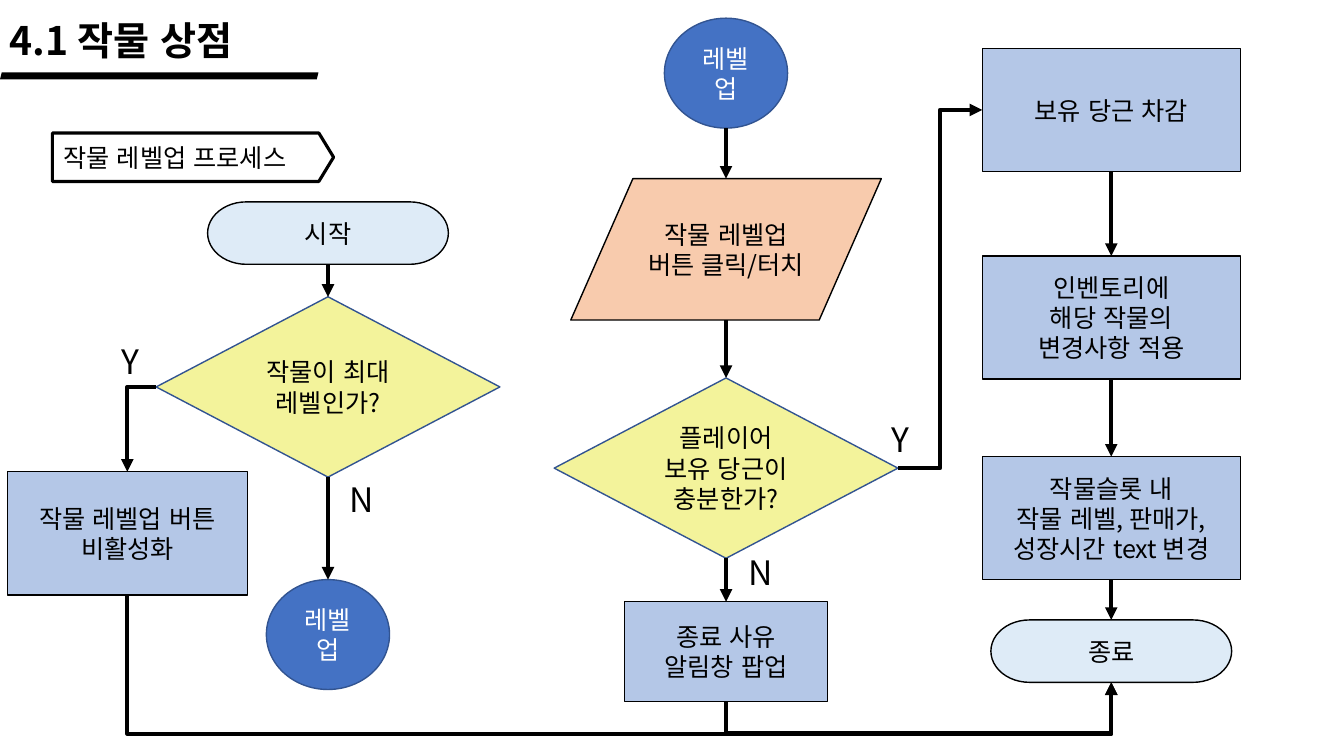
from pptx import Presentation
from pptx.dml.color import RGBColor
from pptx.enum import lang, shapes, text
from pptx.oxml import parse_xml
from pptx.oxml.ns import nsdecls, qn
from pptx.util import Pt

SHAPE = shapes.MSO_SHAPE
ALIGN = text.PP_ALIGN

THEME = {
    "font": "Noto Sans CJK KR",
    "title": 28, "label": 24, "body": 18,
    "black": "000000", "white": "FFFFFF", "edge": "325491",
    "thin": 1, "frame": 2.25, "arrow": 3,
}

# kind: preset, fill, line, text colour
KINDS = {
    "terminal": (SHAPE.FLOWCHART_TERMINATOR, "DEEBF7", "black", "black"),
    "decision": (SHAPE.FLOWCHART_DECISION, "F3F39B", "edge", "black"),
    "process": (SHAPE.RECTANGLE, "B4C7E7", "black", "black"),
    "input": (SHAPE.FLOWCHART_DATA, "F8CBAD", "black", "black"),
    "link": (SHAPE.FLOWCHART_CONNECTOR, "4472C4", "edge", "white"),
}

DISABLED, LEFT, MIDDLE, RIGHT = 91, 234.3, 518.6, 793.8

# name: kind, centre x, top, width, height, text
NODES = {
    "start": ("terminal", LEFT, 144.2, 172, 44.6, "시작"),
    "is_max": ("decision", LEFT, 212, 245.5, 128.8, "작물이 최대 레벨인가?"),
    "disable": ("process", DISABLED, 337, 171.4, 88, "작물 레벨업 버튼 비활성화"),
    "to_level_up": ("link", LEFT, 414, 88, 78.5, "레벨업"),
    "level_up": ("link", MIDDLE, 13, 88, 78.5, "레벨업"),
    "click": ("input", MIDDLE, 127.6, 221.8, 101, "작물 레벨업 버튼 클릭/터치"),
    "has_enough": ("decision", MIDDLE, 270, 245.5, 128.8,
                   "플레이어\n보유 당근이\n충분한가?"),
    "popup": ("process", MIDDLE, 429.8, 145, 71.4, "종료 사유\n알림창 팝업"),
    "deduct": ("process", RIGHT, 34.6, 184.4, 88, "보유 당근 차감"),
    "inventory": ("process", RIGHT, 182.9, 184.4, 88,
                  "인벤토리에\n해당 작물의\n변경사항 적용"),
    "slot": ("process", RIGHT, 326.2, 184.4, 88,
             "작물슬롯 내\n작물 레벨, 판매가, 성장시간 text 변경"),
    "end": ("terminal", RIGHT, 442.8, 172, 44.6, "종료"),
}

DOWNWARD = [
    ("start", "is_max"), ("is_max", "to_level_up"),
    ("level_up", "click"), ("click", "has_enough"), ("has_enough", "popup"),
    ("deduct", "inventory"), ("inventory", "slot"), ("slot", "end"),
]
ENDING_FROM = ["disable", "popup"]
ENDING_LEVEL = 524

BRANCH_LABELS = [  # text, left, top, width
    ("Y", 79.9, 239.8, 28), ("N", 242.6, 338.4, 33),
    ("Y", 630, 295.9, 28), ("N", 527.8, 391, 33),
]


def color(name):
    return RGBColor.from_string(THEME.get(name, name))


def write(shape, words, size, ink="black", align=ALIGN.CENTER, bold=False):
    frame = shape.text_frame
    frame.text = words
    for para in frame.paragraphs:
        para.alignment = align
        for span in para.runs:
            font = span.font
            font.size, font.bold = Pt(THEME[size]), bold
            font.name = THEME["font"]
            font.language_id = lang.MSO_LANGUAGE_ID.KOREAN
            font.color.rgb = color(ink)
            latin = span._r.rPr.find(qn("a:latin"))
            latin.addnext(parse_xml(
                f'<a:ea {nsdecls("a")} typeface="{THEME["font"]}"/>'))
    return frame


def add_box(page, preset, box, fill, line=None, weight="thin"):
    shape = page.shapes.add_shape(preset, *map(Pt, box))
    shape.shadow.inherit = False
    shape.fill.solid()
    shape.fill.fore_color.rgb = color(fill)
    if line:
        shape.line.color.rgb = color(line)
        shape.line.width = Pt(THEME[weight])
    else:
        shape.line.fill.background()
    return shape


def add_label(page, words, box, size, bold=False):
    label = page.shapes.add_textbox(*map(Pt, box))
    frame = write(label, words, size, align=ALIGN.LEFT, bold=bold)
    frame.word_wrap = False


def add_node(page, name):
    kind, centre, top, width, height, words = NODES[name]
    preset, fill, line, ink = KINDS[kind]
    shape = add_box(page, preset, (centre - width / 2, top, width, height), fill, line)
    frame = write(shape, words, "body", ink)
    frame.word_wrap = True
    frame.vertical_anchor = text.MSO_ANCHOR.MIDDLE


def side(name, where):
    """Middle point of one side of a node."""
    _, centre, top, width, height, _ = NODES[name]
    return {
        "top": (centre, top), "bottom": (centre, top + height),
        "left": (centre - width / 2, top + height / 2),
        "right": (centre + width / 2, top + height / 2),
    }[where]


def add_arrow(page, start, end, kind=shapes.MSO_CONNECTOR.STRAIGHT):
    arrow = page.shapes.add_connector(kind, *map(Pt, start + end))
    arrow.line.color.rgb = color("black")
    arrow.line.width = Pt(THEME["arrow"])
    arrow.line._get_or_add_ln().append(
        parse_xml(f'<a:tailEnd {nsdecls("a")} type="triangle"/>'))
    arrow._element.spPr.append(parse_xml(f'<a:effectLst {nsdecls("a")}/>'))
    return arrow


def add_corner_arrow(page, start, end):
    """Arrow that runs sideways, then turns once."""
    arrow = add_arrow(page, start, end, shapes.MSO_CONNECTOR.ELBOW)
    arrow._element.spPr.find(qn("a:prstGeom")).set("prst", "bentConnector2")


def add_detour_arrow(page, start, end, level):
    """Arrow that drops to a level, runs sideways and rises to its end."""
    middle_x, middle_y = (start[0] + end[0]) / 2, (start[1] + end[1]) / 2
    # The elbow preset runs sideways first, so it is laid out a quarter turn back.
    turned = [(middle_x + y - middle_y, middle_y - x + middle_x) for x, y in (start, end)]
    arrow = add_arrow(page, *turned, shapes.MSO_CONNECTOR.ELBOW)
    properties = arrow._element.spPr
    properties.find(qn("a:xfrm")).set("rot", str(90 * 60000))
    share = round((level - start[1]) / (end[1] - start[1]) * 100000)
    geometry = properties.find(qn("a:prstGeom"))
    for old in list(geometry):
        geometry.remove(old)
    geometry.append(parse_xml(
        f'<a:avLst {nsdecls("a")}><a:gd name="adj1" fmla="val {share}"/></a:avLst>'))


def add_headings(page):
    add_label(page, "4.1 작물 상점", (0, 7.9, 242.6, 41), "title", bold=True)
    add_box(page, SHAPE.PARALLELOGRAM, (0, 51.8, 227.5, 5), "black")
    tag = add_box(page, SHAPE.PENTAGON, (37.4, 95, 200.9, 34.6), "white", "black", "frame")
    tag.adjustments[0] = 0.304
    frame = write(tag, "작물 레벨업 프로세스", "body", align=ALIGN.LEFT)
    frame.margin_left = Pt(8)
    frame.word_wrap = False
    frame.vertical_anchor = text.MSO_ANCHOR.MIDDLE


def main():
    deck = Presentation()
    deck.slide_width, deck.slide_height = Pt(960), Pt(540)
    page = deck.slides.add_slide(deck.slide_layouts[6])
    add_headings(page)
    for name in NODES:
        add_node(page, name)
    for upper, lower in DOWNWARD:
        add_arrow(page, side(upper, "bottom"), side(lower, "top"))
    add_corner_arrow(page, side("is_max", "left"), side("disable", "top"))
    add_arrow(page, side("has_enough", "right"), side("deduct", "left"),
              shapes.MSO_CONNECTOR.ELBOW)
    for name in ENDING_FROM:
        add_detour_arrow(page, side(name, "bottom"), side("end", "bottom"), ENDING_LEVEL)
    for words, left, top, width in BRANCH_LABELS:
        add_label(page, words, (left, top, width, 36), "label")
    deck.save("out.pptx")


if __name__ == "__main__":
    main()
